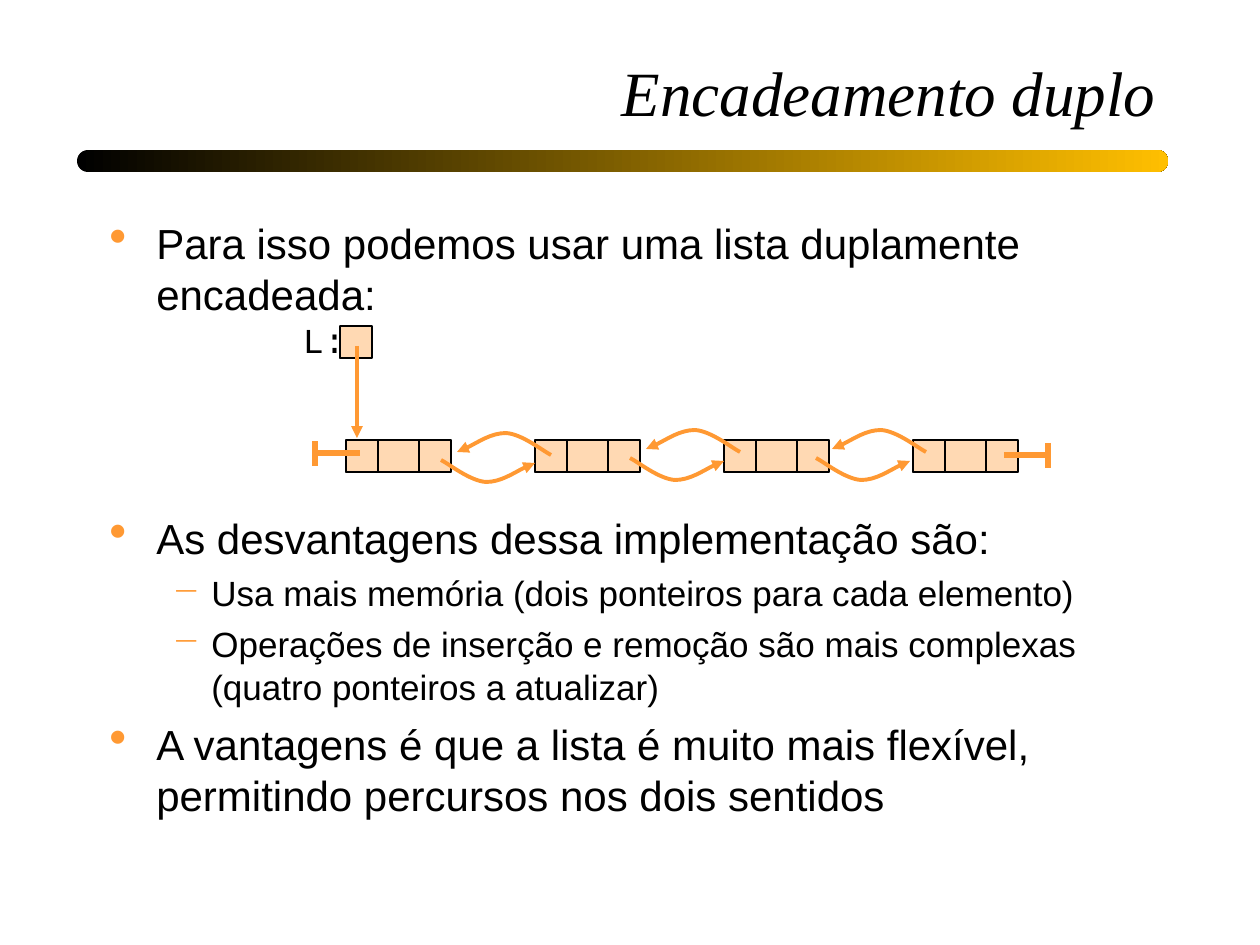
from dataclasses import dataclass

from pptx import Presentation
from pptx.dml.color import RGBColor
from pptx.enum.shapes import MSO_CONNECTOR, MSO_SHAPE
from pptx.enum.text import MSO_ANCHOR, PP_ALIGN
from pptx.oxml.ns import qn
from pptx.oxml.xmlchemy import OxmlElement
from pptx.slide import Slide
from pptx.util import Emu, Pt

ROUNDED = MSO_SHAPE.ROUNDED_RECTANGLE
STRAIGHT = MSO_CONNECTOR.STRAIGHT
LEFT, CENTER, RIGHT = PP_ALIGN.LEFT, PP_ALIGN.CENTER, PP_ALIGN.RIGHT
TOP, MIDDLE, BOTTOM = MSO_ANCHOR.TOP, MSO_ANCHOR.MIDDLE, MSO_ANCHOR.BOTTOM
EMU_PER_PX = 914400 / 126


@dataclass(frozen=True)
class Theme:
    ink: str = "000000"
    gold: str = "FFBF00"
    orange: str = "FF9933"
    peach: str = "FFD9B3"
    title_font: str = "Times New Roman"
    body_font: str = "Arial"
    code_font: str = "Courier New"
    title_size: int = 36
    body_size: int = 24
    small_size: int = 20
    outline: float = 1
    arrow: float = 2.25
    ground: float = 3


@dataclass(frozen=True)
class Area:
    left: int
    top: int
    width: int
    height: int


@dataclass(frozen=True)
class Level:
    margin: int
    hang: int
    bullet: str
    bullet_percent: int
    size: int


@dataclass(frozen=True)
class Item:
    words: str
    level: Level
    space_before: float


@dataclass(frozen=True)
class Segment:
    start: tuple[int, int]
    end: tuple[int, int]
    color: str
    width: float
    arrow: bool = False


THEME = Theme()
MAIN = Level(47, 47, "•", 120, THEME.body_size)
SUB = Level(102, 39, "−", 100, THEME.small_size)
DIAGRAM_GAP = 110  # room left in the text for the list diagram

ITEMS = [
    Item("Para isso podemos usar uma lista duplamente encadeada:", MAIN, 0),
    Item("As desvantagens dessa implementação são:", MAIN, DIAGRAM_GAP),
    Item("Usa mais memória (dois ponteiros para cada elemento)", SUB, 4.6),
    Item("Operações de inserção e remoção são mais complexas "
         "(quatro ponteiros a atualizar)", SUB, 4.6),
    Item("A vantagens é que a lista é muito mais flexível, "
         "permitindo percursos nos dois sentidos", MAIN, 5.6),
]

# List nodes: a wide part for two fields, then a narrow one
NODE_LEFT, NODE_TOP, NODE_STEP, NODE_COUNT = 346, 440, 189, 4
WIDE, CELL = 73, 32

# Control points of a pointer to the next node, relative to its start
NEXT_CURVE = [(8, 4), (29, 21), (45, 22), (60, 22), (84, 6), (94, 3)]
NEXT_STARTS = [(441, 460), (630, 458), (816, 458)]
PREVIOUS_STARTS = [(551, 455), (740, 452), (926, 452)]

SEGMENTS = [
    Segment((357, 346), (357, 438), THEME.orange, THEME.arrow, arrow=True),
    Segment((360, 453), (315, 453), THEME.orange, THEME.ground),
    Segment((315, 441), (315, 466), THEME.orange, THEME.ground),
    Segment((1004, 455), (1049, 455), THEME.orange, THEME.ground),
    Segment((1048, 443), (1048, 468), THEME.orange, THEME.ground),
]


def px(length: float) -> Emu:
    return Emu(round(length * EMU_PER_PX))


def rgb(color: str) -> RGBColor:
    return RGBColor.from_string(color)


def place(area: Area) -> tuple[Emu, ...]:
    return px(area.left), px(area.top), px(area.width), px(area.height)


def style_line(shape, color: str, width: float, arrow: bool = False) -> None:
    shape.line.color.rgb = rgb(color)
    shape.line.width = Pt(width)
    if arrow:
        tail = OxmlElement("a:tailEnd")
        tail.set("type", "triangle")
        shape.element.spPr.find(qn("a:ln")).append(tail)


def add_frame(page: Slide, area: Area, anchor, wrap: bool = True):
    frame = page.shapes.add_textbox(*place(area)).text_frame
    frame.word_wrap = wrap
    frame.vertical_anchor = anchor
    return frame


def write(para, words: str, font: str, size: int, align=LEFT,
          spacing: float = 1.02, italic: bool = False) -> None:
    para.alignment = align
    para.line_spacing = spacing
    span = para.add_run()
    span.text = words
    span.font.name = font
    span.font.size = Pt(size)
    span.font.italic = italic
    span.font.color.rgb = rgb(THEME.ink)


def add_bullet(para, level: Level) -> None:
    props = para._p.get_or_add_pPr()
    props.set("marL", str(px(level.margin)))
    props.set("indent", str(px(-level.hang)))
    color = OxmlElement("a:buClr")
    tint = OxmlElement("a:srgbClr")
    tint.set("val", THEME.orange)
    color.append(tint)
    size = OxmlElement("a:buSzPct")
    size.set("val", str(level.bullet_percent * 1000))
    mark = OxmlElement("a:buChar")
    mark.set("char", level.bullet)
    props.extend([color, size, mark])


def add_block(page: Slide, area: Area, roundness: float):
    block = page.shapes.add_shape(ROUNDED, *place(area))
    block.shadow.inherit = False
    block.adjustments[0] = roundness
    return block


def add_cell(page: Slide, area: Area) -> None:
    cell = add_block(page, area, 0.007)
    cell.fill.solid()
    cell.fill.fore_color.rgb = rgb(THEME.peach)
    style_line(cell, THEME.ink, THEME.outline)


def add_segment(page: Slide, segment: Segment) -> None:
    ends = [px(value) for value in (*segment.start, *segment.end)]
    line = page.shapes.add_connector(STRAIGHT, *ends)
    style_line(line, segment.color, segment.width, segment.arrow)
    line.element.spPr.append(OxmlElement("a:effectLst"))


def add_pointer(page: Slide, start: tuple[int, int], direction: int) -> None:
    x, y = start
    points = [(x + direction * dx, y + direction * dy) for dx, dy in NEXT_CURVE]
    builder = page.shapes.build_freeform(x, y, scale=EMU_PER_PX)
    builder.add_line_segments(points, close=False)
    pointer = builder.convert_to_shape()
    pointer.shadow.inherit = False
    pointer.fill.background()
    style_line(pointer, THEME.orange, THEME.arrow, arrow=True)
    # Every three points become one cubic curve
    steps = list(pointer.element.iter(qn("a:lnTo")))
    for first in range(0, len(steps), 3):
        curve = OxmlElement("a:cubicBezTo")
        steps[first].addprevious(curve)
        for step in steps[first:first + 3]:
            curve.append(step[0])
            step.getparent().remove(step)


def main() -> None:
    deck = Presentation()
    deck.slide_width, deck.slide_height = px(1260), px(945)
    page = deck.slides.add_slide(deck.slide_layouts[6])

    # Title and gradient bar
    bar = add_block(page, Area(77, 150, 1091, 22), 0.5)
    bar.fill.gradient()
    bar.fill.gradient_angle = 0
    for stop, color in zip(bar.fill.gradient_stops, (THEME.ink, THEME.gold)):
        stop.color.rgb = rgb(color)
    bar.line.fill.background()
    title = add_frame(page, Area(97, 19, 1071, 116), BOTTOM)
    write(title.paragraphs[0], "Encadeamento duplo", THEME.title_font,
          THEME.title_size, RIGHT, italic=True)

    # Bulleted text
    body = add_frame(page, Area(97, 210, 1071, 662), TOP)
    for index, item in enumerate(ITEMS):
        para = body.add_paragraph() if index else body.paragraphs[0]
        add_bullet(para, item.level)
        para.space_before = Pt(item.space_before)
        write(para, item.words, THEME.body_font, item.level.size)

    # List head
    label = add_frame(page, Area(290, 318, 68, 49), MIDDLE, wrap=False)
    write(label.paragraphs[0], "L:", THEME.code_font, THEME.small_size, CENTER, 0.88)
    add_cell(page, Area(340, 326, CELL, CELL))

    # Nodes, then the pointers over them
    for index in range(NODE_COUNT):
        left = NODE_LEFT + index * NODE_STEP
        add_cell(page, Area(left, NODE_TOP, WIDE, CELL))
        add_cell(page, Area(left + WIDE, NODE_TOP, CELL, CELL))
        divider = left + CELL
        add_segment(page, Segment((divider, NODE_TOP), (divider, NODE_TOP + CELL),
                                  THEME.ink, THEME.outline))
    for segment in SEGMENTS:
        add_segment(page, segment)
    for direction, starts in ((1, NEXT_STARTS), (-1, PREVIOUS_STARTS)):
        for start in starts:
            add_pointer(page, start, direction)

    deck.save("out.pptx")


if __name__ == "__main__":
    main()
